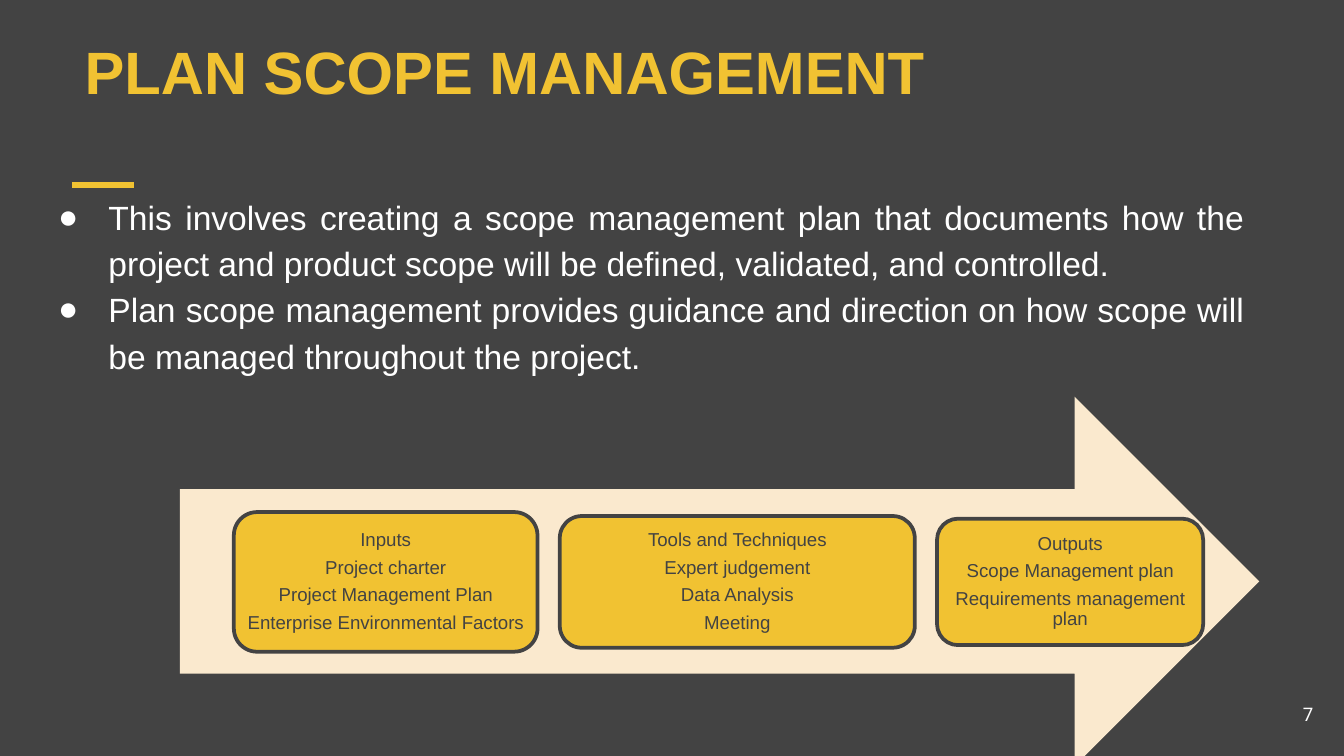
from lxml.etree import SubElement
from pptx import Presentation
from pptx.dml.color import RGBColor
from pptx.enum.shapes import MSO_CONNECTOR, MSO_SHAPE
from pptx.enum.text import MSO_ANCHOR, PP_ALIGN
from pptx.oxml.ns import qn
from pptx.util import Cm, Pt

GOLD, DARK, CREAM, WHITE = "F1C232", "434343", "FAE9CE", "FFFFFF"
INVOLVEMENT = [
    "This involves creating a scope management plan that documents how the "
    "project and product scope will be defined, validated, and controlled.",
    "Plan scope management provides guidance and direction on how scope will "
    "be managed throughout the project.",
]
STAGES = [
    (5.74, 2.64, ["Inputs", "Project charter", "Project Management Plan",
                  "Enterprise Environmental Factors"]),
    (6.71, 2.49, ["Tools and Techniques", "Expert judgement", "Data Analysis", "Meeting"]),
    (5.03, 2.39, ["Outputs", "Scope Management plan", "Requirements management plan"]),
]
STAGES_LEFT, STAGES_MIDDLE, STAGES_GAP = 4.42, 11, 0.42


def color(value):
    """Return the RGB color of a hex string."""
    return RGBColor.from_string(value)


def set_attributes(target, values):
    """Set every attribute named in a dict of format values."""
    for name, value in values.items():
        setattr(target, name, value)


def write_text(shape, lines, font, paragraph_format, anchor=MSO_ANCHOR.TOP, inset=0.25):
    """Fill a shape with formatted paragraphs and return them."""
    frame = shape.text_frame
    margins = dict.fromkeys(
        ("margin_left", "margin_top", "margin_right", "margin_bottom"), Cm(inset))
    set_attributes(frame, {"word_wrap": True, "vertical_anchor": anchor, **margins})
    frame.text = "\n".join(lines)
    for paragraph in frame.paragraphs:
        set_attributes(paragraph, paragraph_format)
        run_font = paragraph.runs[0].font
        set_attributes(run_font, {name: value for name, value in font.items() if name != "color"})
        run_font.color.rgb = color(font["color"])
    return frame.paragraphs


def add_text(slide, box, lines, font, paragraph_format, anchor=MSO_ANCHOR.TOP):
    """Add a text box and return its paragraphs."""
    shape = slide.shapes.add_textbox(*map(Cm, box))
    return write_text(shape, lines, font, paragraph_format, anchor)


def add_bullet(paragraph):
    """Give a paragraph a white round bullet with a hanging indent."""
    properties = paragraph._p.get_or_add_pPr()
    properties.set("marL", str(Cm(1.27)))
    properties.set("indent", str(Cm(-0.95)))
    bullet_color = SubElement(properties, qn("a:buClr"))
    SubElement(bullet_color, qn("a:srgbClr"), val=WHITE)
    SubElement(properties, qn("a:buFont"), typeface="Arial")
    SubElement(properties, qn("a:buChar"), char="●")


def add_filled_shape(slide, kind, box, fill):
    """Add a flat preset shape without an outline."""
    shape = slide.shapes.add_shape(kind, *map(Cm, box))
    shape.shadow.inherit = False
    shape.fill.solid()
    shape.fill.fore_color.rgb = color(fill)
    shape.line.fill.background()
    return shape


def add_accent_line(slide, left, right, top):
    """Add the short horizontal line under the title."""
    line = slide.shapes.add_connector(
        MSO_CONNECTOR.STRAIGHT, Cm(left), Cm(top), Cm(right), Cm(top))
    line.line.color.rgb = color(GOLD)
    line.line.width = Pt(3)
    SubElement(line._element.spPr, qn("a:effectLst"))


def add_stages(slide):
    """Add the row of stage boxes, centred on the arrow."""
    font = {"name": "Arial", "size": Pt(10), "color": DARK}
    paragraph_format = {"alignment": PP_ALIGN.CENTER, "line_spacing": 0.9, "space_after": Pt(4)}
    left = STAGES_LEFT
    for width, height, lines in STAGES:
        box = (left, STAGES_MIDDLE - height / 2, width, height)
        stage = add_filled_shape(slide, MSO_SHAPE.ROUNDED_RECTANGLE, box, GOLD)
        stage.line.color.rgb = color(DARK)
        stage.line.width = Pt(2)
        write_text(stage, lines, font, paragraph_format, MSO_ANCHOR.MIDDLE, 0.1)
        left += width + STAGES_GAP


def main():
    """Build the scope management slide."""
    presentation = Presentation()
    set_attributes(presentation, {"slide_width": Cm(25.4), "slide_height": Cm(14.29)})
    slide = presentation.slides.add_slide(presentation.slide_layouts[6])
    slide.background.fill.solid()
    slide.background.fill.fore_color.rgb = color(DARK)

    add_accent_line(slide, 1.37, 2.54, 3.5)
    add_text(slide, (1.35, 0.36, 23.24, 1.9), ["PLAN SCOPE MANAGEMENT"],
             {"name": "Arial", "size": Pt(32), "bold": True, "color": GOLD},
             {"alignment": PP_ALIGN.LEFT}, MSO_ANCHOR.BOTTOM)
    bullets = add_text(slide, (0.53, 3.35, 23.24, 8.56), INVOLVEMENT,
                       {"name": "Arial", "size": Pt(18), "color": WHITE},
                       {"alignment": PP_ALIGN.JUSTIFY, "line_spacing": 1.15})
    for paragraph in bullets:
        add_bullet(paragraph)
    add_text(slide, (23.55, 12.95, 1.52, 1.09), ["7"],
             {"name": "Roboto", "size": Pt(10), "color": WHITE},
             {"alignment": PP_ALIGN.RIGHT}, MSO_ANCHOR.MIDDLE)
    add_filled_shape(slide, MSO_SHAPE.RIGHT_ARROW, (3.4, 7.5, 20.4, 6.98), CREAM)
    add_stages(slide)
    presentation.save("out.pptx")


if __name__ == "__main__":
    main()
